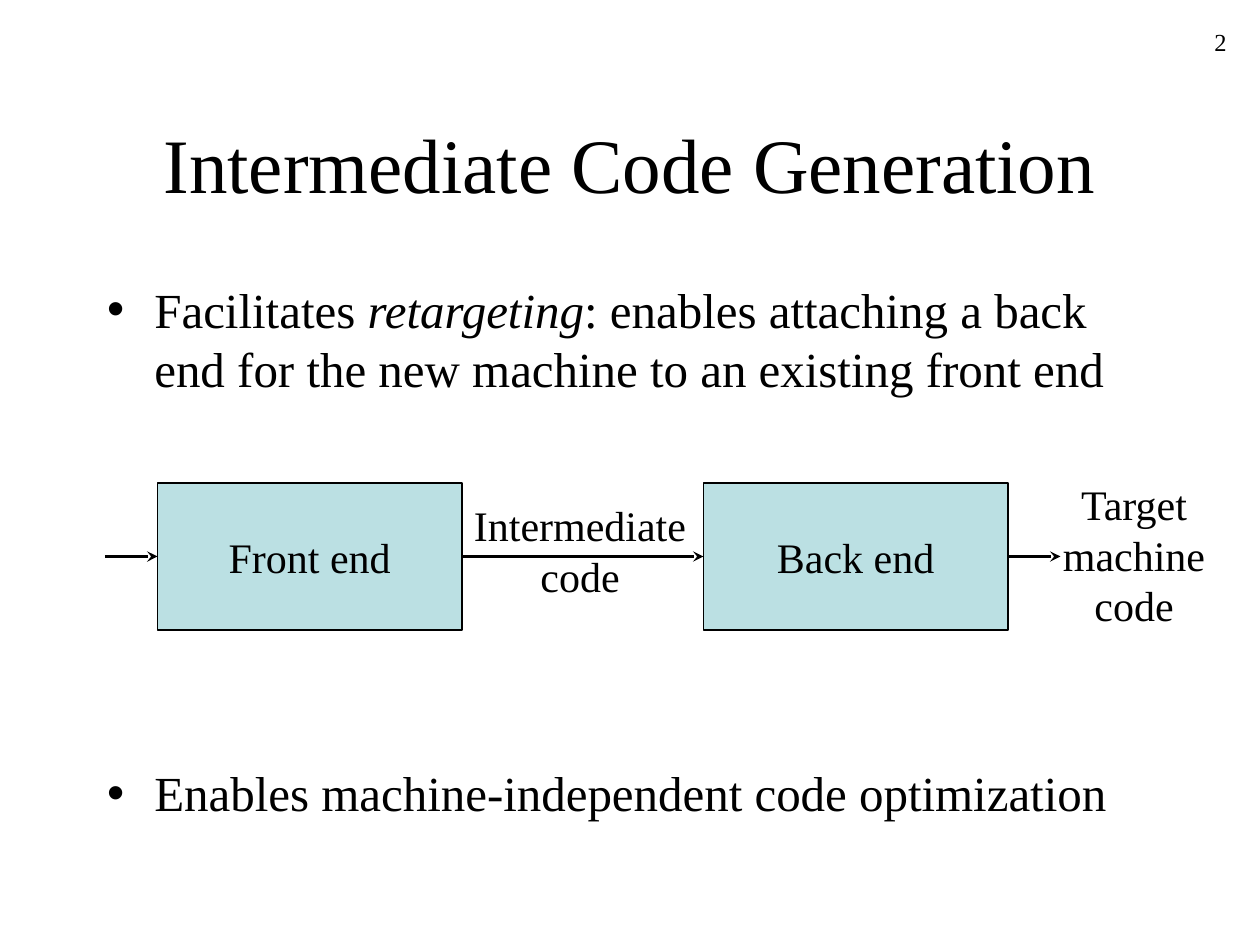
import pptx
import pptx.dml.color
import pptx.enum.dml
import pptx.enum.shapes
import pptx.enum.text
import pptx.oxml.ns
import pptx.util
from lxml import etree

Pt = pptx.util.Pt
ALIGN = pptx.enum.text.PP_ALIGN
ANCHOR = pptx.enum.text.MSO_ANCHOR
FONT = "Times New Roman"
COLORS = {"ink": "000000", "block": "BBE0E3"}


def rgb(name):
    return pptx.dml.color.RGBColor.from_string(COLORS[name])


def place(shape, left, top, width, height):
    shape.left, shape.top = Pt(left), Pt(top)
    shape.width, shape.height = Pt(width), Pt(height)


def write(para, text, size=24, align=None, italic=False, space_before=0, line_spacing=1.0):
    """Append text to a paragraph; each newline becomes a line break."""
    para.alignment = align
    para.space_before = Pt(space_before)
    para.line_spacing = line_spacing
    for index, line in enumerate(text.split("\n")):
        if index:
            para.add_line_break()
        span = para.add_run()
        span.text = line
        span.font.name, span.font.size = FONT, Pt(size)
        span.font.italic = italic
        span.font.color.rgb = rgb("ink")


def set_frame(frame, anchor=ANCHOR.TOP, wrap=True):
    frame.auto_size = pptx.enum.text.MSO_AUTO_SIZE.NONE
    frame.vertical_anchor = anchor
    frame.word_wrap = wrap


def add_label(page, text, left, top, width, height, wrap=False, **style):
    label = page.shapes.add_textbox(Pt(left), Pt(top), Pt(width), Pt(height))
    set_frame(label.text_frame, wrap=wrap)
    write(label.text_frame.paragraphs[0], text, **style)


def add_block(page, text, left, top, width, height):
    block = page.shapes.add_shape(pptx.enum.shapes.MSO_SHAPE.RECTANGLE,
                                  Pt(left), Pt(top), Pt(width), Pt(height))
    block.shadow.inherit = False
    block.fill.solid()
    block.fill.fore_color.rgb = rgb("block")
    block.line.color.rgb = rgb("ink")
    block.line.width = Pt(0.75)
    set_frame(block.text_frame, ANCHOR.MIDDLE, wrap=False)
    write(block.text_frame.paragraphs[0], text, align=ALIGN.CENTER)


def add_arrow(page, start, end, y):
    arrow = page.shapes.add_connector(pptx.enum.shapes.MSO_CONNECTOR.STRAIGHT,
                                      Pt(start), Pt(y), Pt(end), Pt(y))
    arrow.line.color.rgb = rgb("ink")
    arrow.line.width = Pt(2)
    qn = pptx.oxml.ns.qn
    etree.SubElement(arrow.line._get_or_add_ln(), qn("a:tailEnd"), type="stealth")
    etree.SubElement(arrow._element.spPr, qn("a:effectLst"))


def fill_title(page, left, top, width, height):
    title = page.shapes.title
    place(title, left, top, width, height)
    set_frame(title.text_frame, ANCHOR.MIDDLE)
    write(title.text_frame.paragraphs[0], "Intermediate Code Generation",
          size=44, align=ALIGN.CENTER)


def fill_points(page, left, top, width, height):
    body = page.placeholders[1]
    place(body, left, top, width, height)
    frame = body.text_frame
    set_frame(frame)
    first = frame.paragraphs[0]
    write(first, "Facilitates ", size=28)
    write(first, "retargeting", size=28, italic=True)
    write(first, ": enables attaching a back end for the new machine"
                 " to an existing front end", size=28)
    # The gap leaves room for the diagram
    write(frame.add_paragraph(), "Enables machine-independent code optimization",
          size=28, space_before=209)


def draw_pipeline(page, left, top, width, height):
    """Two blocks in a row, with an arrow into, between and out of them."""
    block_width, stub = 174, 30
    front = left + stub
    back = left + width - stub - block_width
    middle = top + height / 2
    add_block(page, "Front end", front, top, block_width, height)
    add_block(page, "Back end", back, top, block_width, height)
    for start, end in ((left, front), (front + block_width, back),
                       (back + block_width, left + width)):
        add_arrow(page, start, end, middle)
    add_label(page, "Intermediate\ncode", front + block_width, top + 6, 135, 65,
              align=ALIGN.CENTER)
    add_label(page, "Target\nmachine\ncode", left + width - 6, top - 6, 96, 94,
              align=ALIGN.CENTER)


def main():
    deck = pptx.Presentation()
    deck.slide_width, deck.slide_height = Pt(720), Pt(540)
    page = deck.slides.add_slide(deck.slide_layouts[1])
    fill_title(page, 54, 48, 612, 90)
    fill_points(page, 54, 156, 612, 324)
    draw_pipeline(page, 60, 276, 546, 84)
    # Page number
    add_label(page, "2", 558, 12, 150, 36, wrap=True, size=14, align=ALIGN.RIGHT)
    deck.save("out.pptx")


if __name__ == "__main__":
    main()
